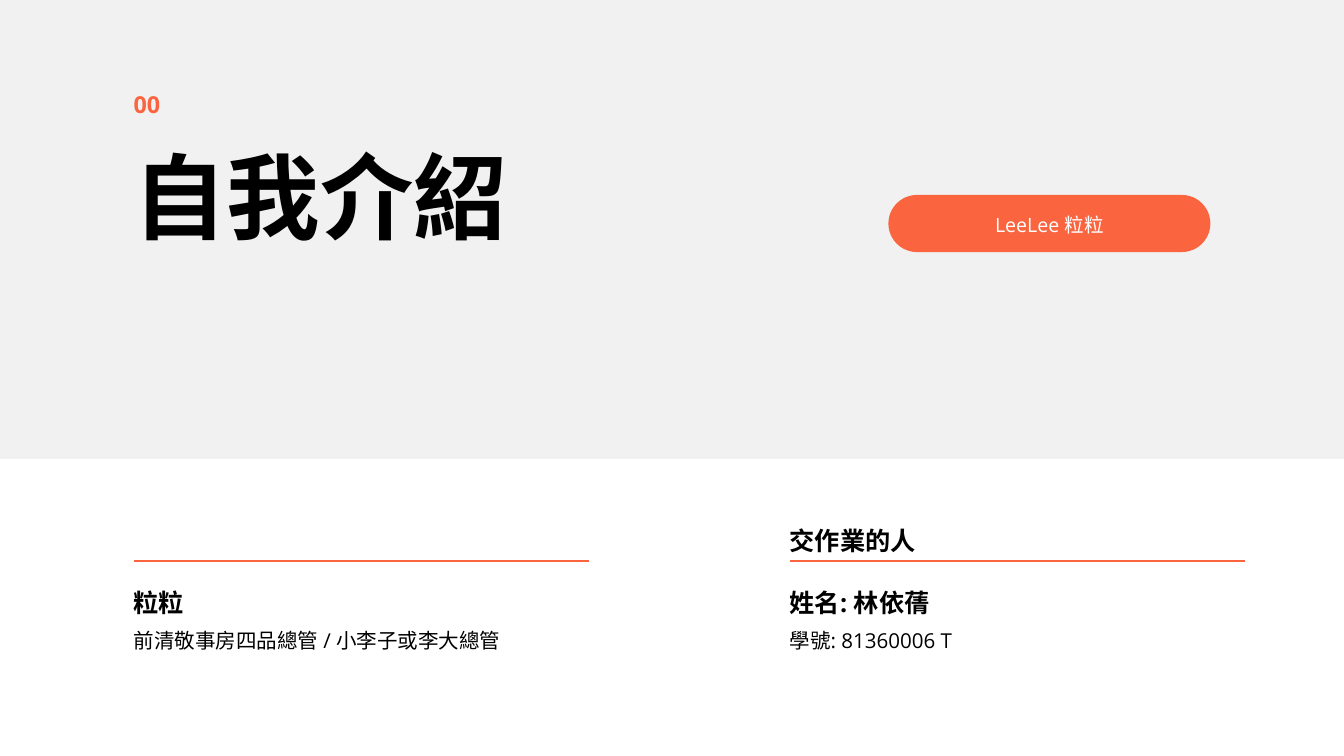
from lxml.etree import SubElement
from pptx import Presentation
from pptx.dml.color import RGBColor
from pptx.enum.shapes import MSO_CONNECTOR as Connector, MSO_SHAPE as Shape
from pptx.enum.text import MSO_AUTO_SIZE as AutoSize, PP_ALIGN as Align
from pptx.oxml.ns import qn
from pptx.util import Cm, Pt

FONT = "Open Sans"
ORANGE = "FA643F"


def color(value):
    return RGBColor.from_string(value)


def add_text(text, left, top, width, height, size, fill="000000",
             bold=False, leading=1.4, align=Align.LEFT):
    box = page.shapes.add_textbox(Cm(left), Cm(top), Cm(width), Cm(height))
    frame = box.text_frame
    frame.margin_left = frame.margin_top = 0
    frame.margin_right = frame.margin_bottom = 0
    frame.word_wrap = True
    frame.auto_size = AutoSize.SHAPE_TO_FIT_TEXT
    para = frame.paragraphs[0]
    para.alignment = align
    para.line_spacing = Pt(size * leading)
    span = para.add_run()
    span.text = text
    span.font.size = Pt(size)
    span.font.bold = bold
    span.font.color.rgb = color(fill)
    span.font.name = FONT
    SubElement(span.font._element, qn("a:ea"), typeface=FONT)


deck = Presentation()
deck.slide_width = Cm(50.8)
deck.slide_height = Cm(28.58)
page = deck.slides.add_slide(deck.slide_layouts[6])

for preset, left, top, width, height, fill in [
    (Shape.RECTANGLE, 0, 0, 50.8, 17.35, "F1F1F1"),
    (Shape.ROUNDED_RECTANGLE, 33.58, 7.37, 12.17, 2.16, ORANGE),
]:
    panel = page.shapes.add_shape(preset, Cm(left), Cm(top), Cm(width), Cm(height))
    panel.shadow.inherit = False
    panel.fill.solid()
    panel.fill.fore_color.rgb = color(fill)
    panel.line.fill.background()
    if preset == Shape.ROUNDED_RECTANGLE:
        panel.adjustments[0] = 0.5

add_text("LeeLee 粒粒", 34.7, 7.92, 9.93, 0.97, 21, fill="FFFFFF", align=Align.CENTER)
add_text("自我介紹", 5.05, 5.61, 25.4, 3.96, 100, bold=True, leading=1.1)
add_text("00", 5.05, 3.51, 1.57, 0.99, 25, fill=ORANGE, bold=True, leading=1.1)

column_width = 17.22
for left, heading, name, detail in [
    (5.05, None, "粒粒", "前清敬事房四品總管 / 小李子或李大總管"),
    (29.85, "交作業的人", "姓名: 林依蒨", "學號: 81360006 T"),
]:
    add_text(detail, left, 23.6, column_width, 1.04, 22)
    add_text(name, left, 22.02, column_width, 1.27, 27, bold=True)
    rule = page.shapes.add_connector(
        Connector.STRAIGHT, Cm(left), Cm(21.21), Cm(left + column_width), Cm(21.21))
    rule.line.color.rgb = color(ORANGE)
    rule.line.width = Pt(1.5)
    SubElement(rule._element.spPr, qn("a:effectLst"))
    if heading:
        add_text(heading, left, 19.66, column_width, 1.27, 27, bold=True)

deck.save("out.pptx")
